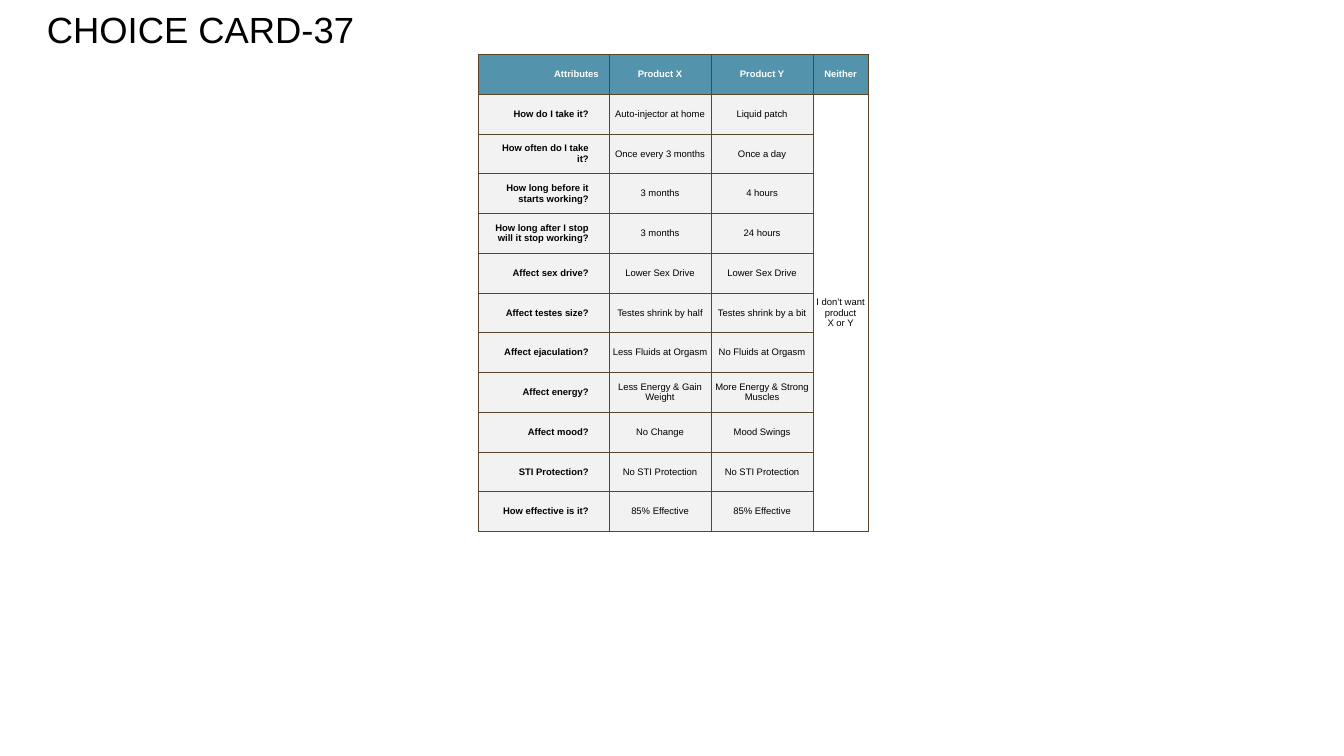
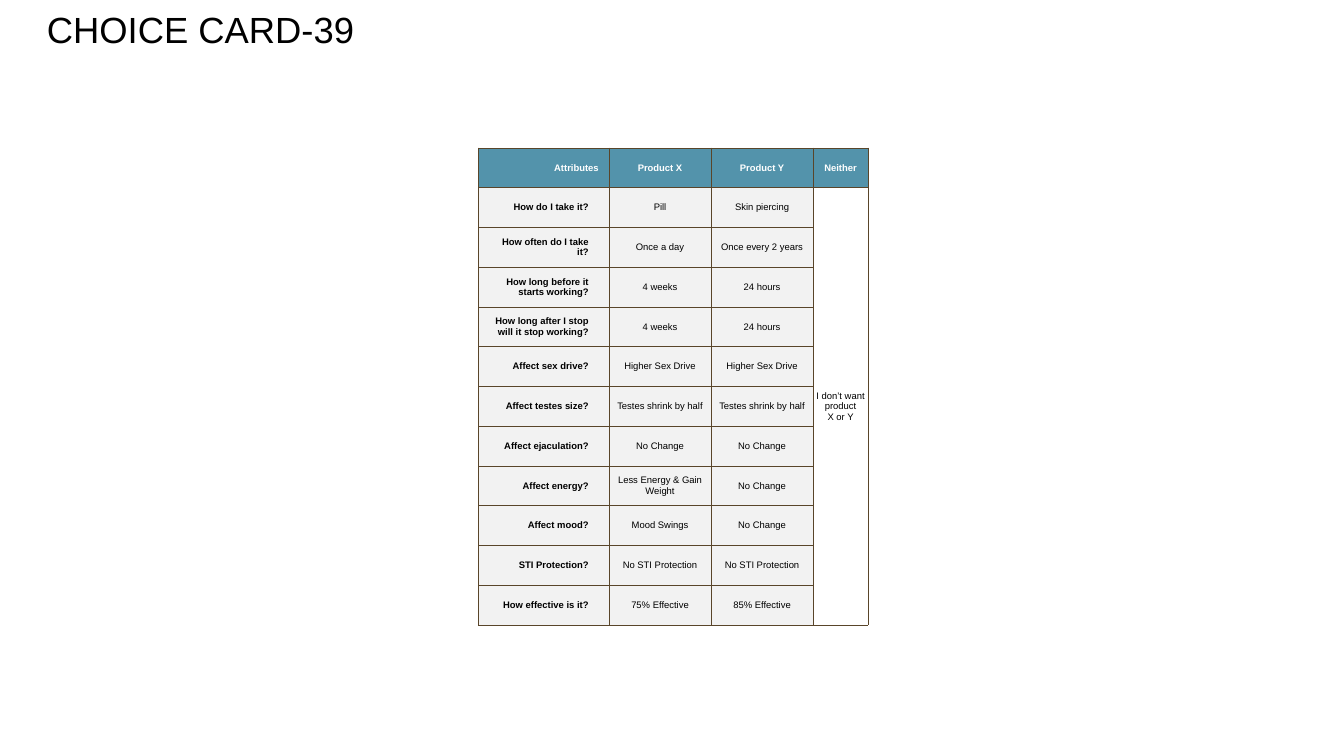
from dataclasses import dataclass

from lxml.etree import SubElement
from pptx import Presentation
from pptx.dml.color import RGBColor
from pptx.enum.text import MSO_ANCHOR as Anchor, PP_ALIGN as Align
from pptx.oxml.ns import qn
from pptx.util import Cm, Pt

FONT = "Arial"
BLACK, WHITE = "000000", "FFFFFF"
TEAL, GREY, BROWN = "5393AB", "F2F2F2", "59452A"

TABLE_LEFT = 21.44
COLUMN_WIDTHS = (5.84, 4.57, 4.57, 2.46)
ROW_HEIGHT = 1.78

HEADERS = ("Attributes", "Product X", "Product Y", "Neither")
NEITHER = "I don’t want product\nX or Y"
QUESTIONS = (
    "How do I take it?",
    "How often do I take it?",
    "How long before it starts working?",
    "How long after I stop will it stop working?",
    "Affect sex drive?",
    "Affect testes size?",
    "Affect ejaculation?",
    "Affect energy?",
    "Affect mood?",
    "STI Protection?",
    "How effective is it?",
)


@dataclass(frozen=True)
class CellStyle:
    fill: str
    color: str = BLACK
    bold: bool = False
    align: Align = Align.CENTER
    margins: tuple = (0.1, 0.05, 0.1, 0.05)  # left, top, right, bottom


@dataclass(frozen=True)
class ChoiceCard:
    number: int
    table_top: float
    product_x: tuple
    product_y: tuple


HEADER_MARGINS = (0.46, 0.23, 0.46, 0.23)
HEADER = CellStyle(TEAL, WHITE, True, margins=HEADER_MARGINS)
HEADER_RIGHT = CellStyle(TEAL, WHITE, True, Align.RIGHT, HEADER_MARGINS)
QUESTION = CellStyle(GREY, bold=True, align=Align.RIGHT,
                     margins=(0.46, 0.23, 0.91, 0.23))
ANSWER = CellStyle(GREY)
OPT_OUT = CellStyle(WHITE)

CARDS = (
    ChoiceCard(
        37, 2.44,
        ("Auto-injector at home", "Once every 3 months", "3 months", "3 months",
         "Lower Sex Drive", "Testes shrink by half", "Less Fluids at Orgasm",
         "Less Energy & Gain Weight", "No Change", "No STI Protection",
         "85% Effective"),
        ("Liquid patch", "Once a day", "4 hours", "24 hours",
         "Lower Sex Drive", "Testes shrink by a bit", "No Fluids at Orgasm",
         "More Energy & Strong Muscles", "Mood Swings", "No STI Protection",
         "85% Effective"),
    ),
    ChoiceCard(
        39, 6.63,
        ("Pill", "Once a day", "4 weeks", "4 weeks",
         "Higher Sex Drive", "Testes shrink by half", "No Change",
         "Less Energy & Gain Weight", "Mood Swings", "No STI Protection",
         "75% Effective"),
        ("Skin piercing", "Once every 2 years", "24 hours", "24 hours",
         "Higher Sex Drive", "Testes shrink by half", "No Change",
         "No Change", "No Change", "No STI Protection",
         "85% Effective"),
    ),
)


def rgb(color: str) -> RGBColor:
    return RGBColor.from_string(color)


def format_font(font, size: float, color: str, bold: bool = False) -> None:
    for name, value in {"name": FONT, "size": Pt(size), "bold": bold}.items():
        setattr(font, name, value)
    font.color.rgb = rgb(color)


def add_borders(cell) -> None:
    tc_pr = cell._tc.get_or_add_tcPr()
    for side in ("lnL", "lnR", "lnT", "lnB"):
        line = SubElement(tc_pr, qn(f"a:{side}"), w=str(Pt(1)))
        fill = SubElement(line, qn("a:solidFill"))
        SubElement(fill, qn("a:srgbClr"), val=BROWN)


def fill_cell(cell, text: str, style: CellStyle) -> None:
    add_borders(cell)
    cell.fill.solid()
    cell.fill.fore_color.rgb = rgb(style.fill)
    cell.vertical_anchor = Anchor.MIDDLE
    for side, margin in zip(("left", "top", "right", "bottom"), style.margins):
        setattr(cell, f"margin_{side}", Cm(margin))
    cell.text = text
    for p in cell.text_frame.paragraphs:
        p.alignment = style.align
        for r in p.runs:
            format_font(r.font, 12, style.color, style.bold)


def add_title(s, text: str) -> None:
    tf = s.shapes.add_textbox(Cm(1.85), Cm(1.07), Cm(45.85), Cm(1.88)).text_frame
    tf.word_wrap = True
    p = tf.paragraphs[0]
    p.line_spacing = Pt(30.7)
    r = p.add_run()
    r.text = text
    format_font(r.font, 46.2, BLACK)


def add_choice_table(s, card: ChoiceCard) -> None:
    row_count = len(QUESTIONS) + 1
    table = s.shapes.add_table(
        row_count, len(HEADERS), Cm(TABLE_LEFT), Cm(card.table_top),
        Cm(sum(COLUMN_WIDTHS)), Cm(ROW_HEIGHT * row_count)).table
    table.first_row = table.horz_banding = False
    for column, width in zip(table.columns, COLUMN_WIDTHS):
        column.width = Cm(width)
    for row in table.rows:
        row.height = Cm(ROW_HEIGHT)

    opt_out = (NEITHER,) + ("",) * (len(QUESTIONS) - 1)
    columns = (QUESTIONS, card.product_x, card.product_y, opt_out)
    header_styles = (HEADER_RIGHT, HEADER, HEADER, HEADER)
    body_styles = (QUESTION, ANSWER, ANSWER, OPT_OUT)
    for c, texts in enumerate(columns):
        fill_cell(table.cell(0, c), HEADERS[c], header_styles[c])
        for r, text in enumerate(texts, start=1):
            fill_cell(table.cell(r, c), text, body_styles[c])
    last = len(HEADERS) - 1
    table.cell(1, last).merge(table.cell(row_count - 1, last))


def main() -> None:
    prs = Presentation()
    prs.slide_width, prs.slide_height = Cm(60.2), Cm(33.86)
    for card in CARDS:
        s = prs.slides.add_slide(prs.slide_layouts[6])
        add_title(s, f"CHOICE CARD-{card.number}")
        add_choice_table(s, card)
    prs.save("out.pptx")


if __name__ == "__main__":
    main()
